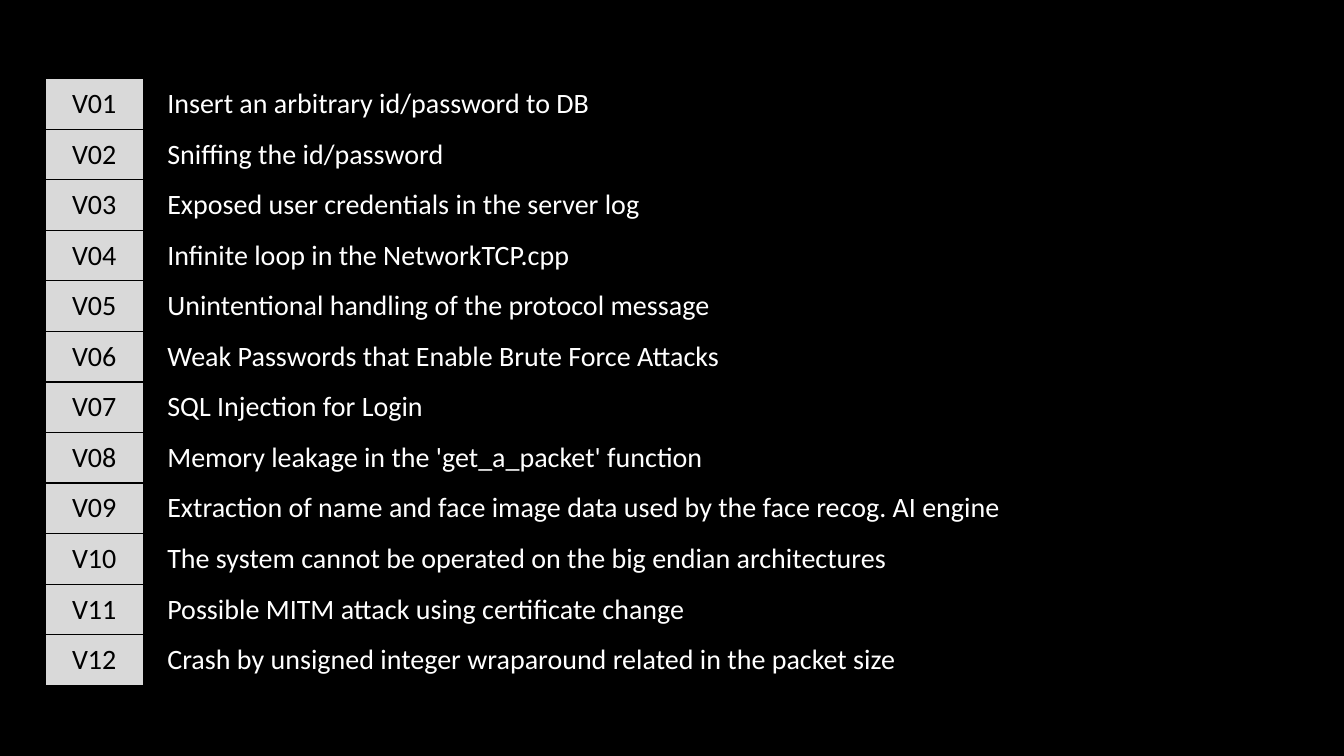
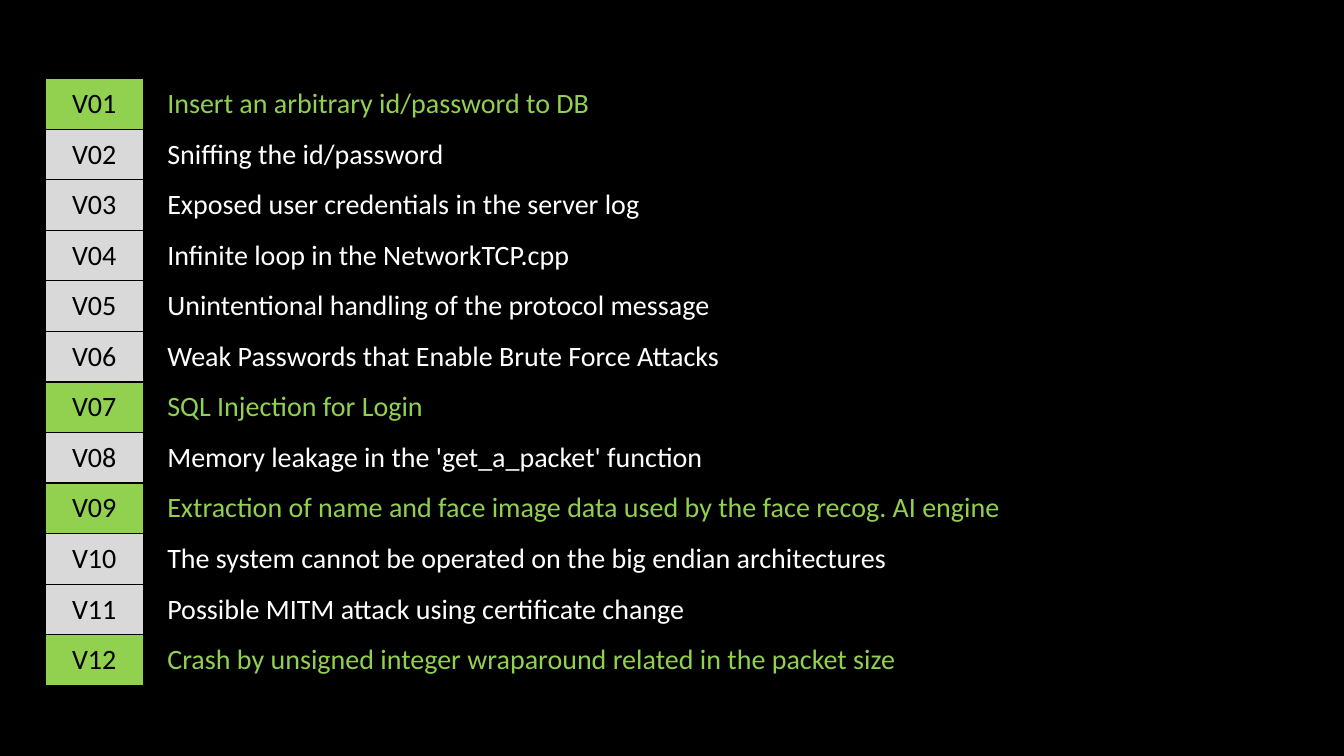
from lxml import etree
from pptx import Presentation
from pptx import util as u
from pptx.dml.color import RGBColor
from pptx.enum import text
from pptx.oxml import ns

BLACK = RGBColor(0x00, 0x00, 0x00)
WHITE = RGBColor(0xFF, 0xFF, 0xFF)
GREY = RGBColor(0xD9, 0xD9, 0xD9)
GREEN = RGBColor(0x92, 0xD0, 0x50)

LEFT, TOP, HEIGHT = u.Inches(0.45), u.Inches(0.78), u.Inches(6.02)
COLS = [u.Inches(0.97), u.Inches(11.45)]
FONT = {"name": "Calibri", "size": u.Pt(20)}
CELL = {
    "margin_left": u.Inches(0.24),
    "margin_right": u.Inches(0.24),
    "margin_top": 0,
    "margin_bottom": 0,
    "vertical_anchor": text.MSO_ANCHOR.MIDDLE,
}

VULNERABILITIES = [
    "Insert an arbitrary id/password to DB",
    "Sniffing the id/password",
    "Exposed user credentials in the server log",
    "Infinite loop in the NetworkTCP.cpp",
    "Unintentional handling of the protocol message",
    "Weak Passwords that Enable Brute Force Attacks",
    "SQL Injection for Login",
    "Memory leakage in the 'get_a_packet' function",
    "Extraction of name and face image data used by the face recog. AI engine",
    "The system cannot be operated on the big endian architectures",
    "Possible MITM attack using certificate change",
    "Crash by unsigned integer wraparound related in the packet size",
]
HIGHLIGHTS = [set(), {1, 7, 9, 12}]


def set_format(target, values):
    for name, value in values.items():
        setattr(target, name, value)


def add_borders(cell, color, width):
    tc_pr = cell._tc.get_or_add_tcPr()
    for side in ("lnL", "lnR", "lnT", "lnB"):
        ln = etree.SubElement(tc_pr, ns.qn(f"a:{side}"), w=str(width))
        fill = etree.SubElement(ln, ns.qn("a:solidFill"))
        etree.SubElement(fill, ns.qn("a:srgbClr"), val=str(color))


def write_cell(cell, words, color, align, fill=None):
    set_format(cell, CELL)
    add_borders(cell, BLACK, u.Pt(1))
    if fill is None:
        cell.fill.background()
    else:
        cell.fill.solid()
        cell.fill.fore_color.rgb = fill
    p = cell.text_frame.paragraphs[0]
    p.alignment = align
    r = p.add_run()
    r.text = words
    set_format(r.font, FONT)
    r.font.color.rgb = color


def add_vulnerability_table(s, highlighted):
    table = s.shapes.add_table(
        len(VULNERABILITIES), len(COLS), LEFT, TOP, sum(COLS), HEIGHT
    ).table
    set_format(table, {"first_row": False, "horz_banding": False})
    for column, width in zip(table.columns, COLS):
        column.width = width
    for number, words in enumerate(VULNERABILITIES, 1):
        label, description = table.rows[number - 1].cells
        fill, color = (GREEN, GREEN) if number in highlighted else (GREY, WHITE)
        write_cell(label, f"V{number:02}", BLACK, text.PP_ALIGN.CENTER, fill)
        write_cell(description, words, color, text.PP_ALIGN.JUSTIFY)


def main():
    prs = Presentation()
    set_format(prs, {"slide_width": u.Inches(13.33), "slide_height": u.Inches(7.5)})
    background = prs.slide_master.background.fill
    background.solid()
    background.fore_color.rgb = BLACK
    for highlighted in HIGHLIGHTS:
        s = prs.slides.add_slide(prs.slide_layouts[6])
        add_vulnerability_table(s, highlighted)
    prs.save("out.pptx")


if __name__ == "__main__":
    main()
